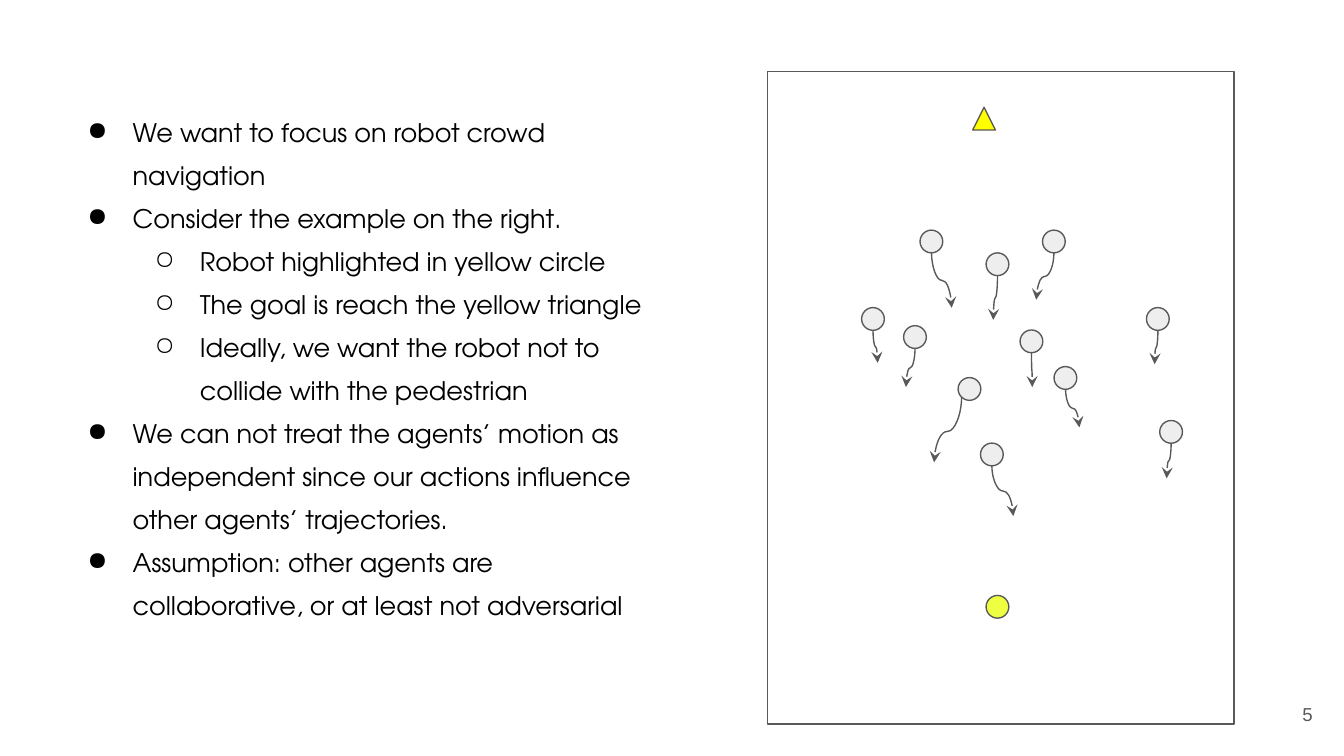
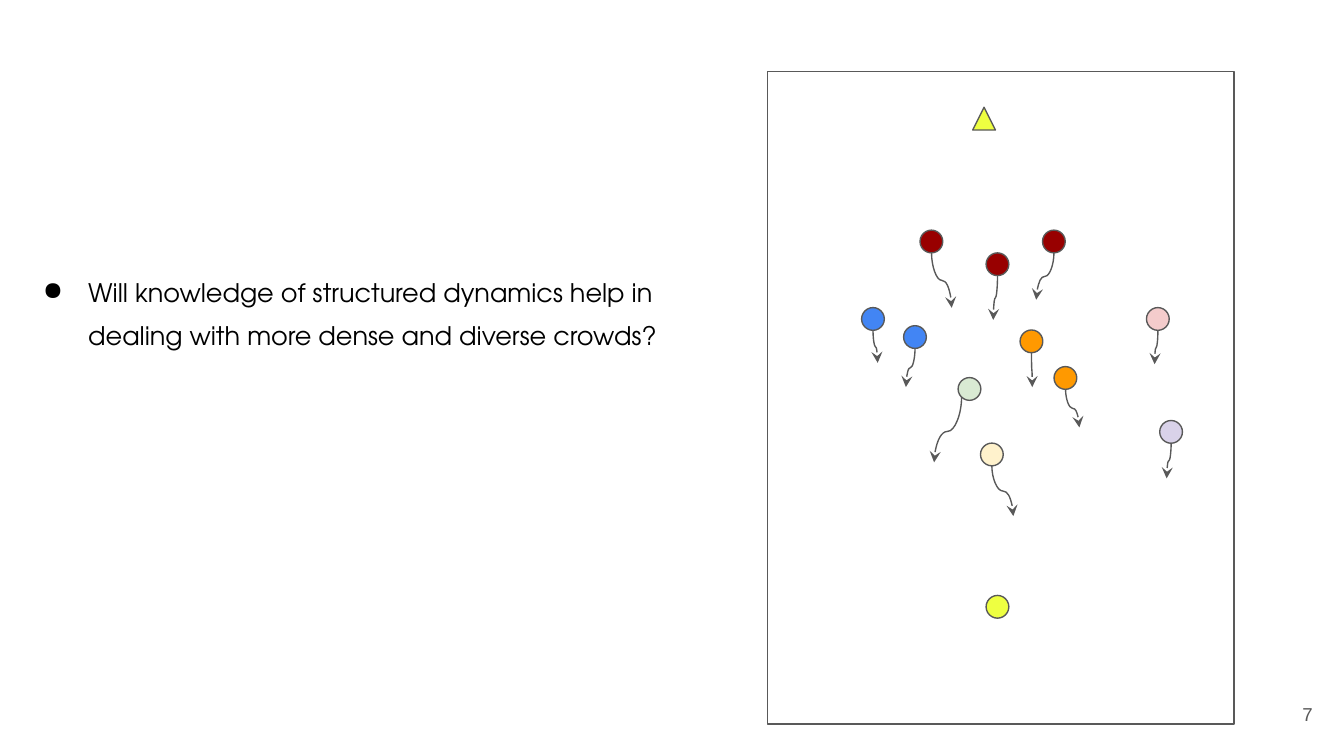
from dataclasses import dataclass
from lxml import etree
from pptx import Presentation
from pptx.dml.color import RGBColor
from pptx.enum.shapes import MSO_CONNECTOR as Connector, MSO_SHAPE as Preset
from pptx.enum.text import MSO_ANCHOR as Anchor, PP_ALIGN as Align
from pptx.oxml.ns import qn
from pptx.util import Pt


@dataclass(frozen=True)
class Theme:
    black: str = "000000"
    gray: str = "595959"
    lime: str = "EEFF41"
    yellow: str = "FFFF00"
    pedestrian: str = "EEEEEE"
    body_font: str = "TeX Gyre Adventor"
    number_font: str = "Arial"
    body_size: float = 13.7
    number_size: float = 10
    line_width: float = 0.75
    line_spacing: float = 1.4


theme = Theme()
marker_size = 12.2

walkers = [
    ("blue", (467.7, 170.9), (470.2, 194.4)),
    ("red", (499, 129.4), (509.8, 164.9)),
    ("blue", (490.2, 180.6), (485.3, 207.4)),
    ("red", (564.6, 129.4), (555.1, 160.6)),
    ("orange", (552.6, 182.9), (553, 207.4)),
    ("green", (519.4, 208.4), (500.4, 247.7)),
    ("cream", (531.4, 243.5), (542.9, 276.5)),
    ("purple", (627.4, 231.4), (625, 256.3)),
    ("pink", (620.3, 170.9), (618.5, 195.1)),
    ("orange", (570.8, 202.5), (578.2, 229)),
    ("red", (534.4, 141.6), (532.1, 171.4)),
]
group_colors = {
    "blue": "4285F4", "red": "980000", "orange": "FF9900", "green": "D9EAD3",
    "cream": "FFF2CC", "purple": "D9D2E9", "pink": "F4CCCC",
}
slides = [
    {
        "number": "5",
        "box": (28, 49, 332, 326),
        "goal": theme.yellow,
        "colors": dict.fromkeys(group_colors, theme.pedestrian),
        "bullets": [
            (0, "We want to focus on robot crowd navigation"),
            (0, "Consider the example on the right."),
            (1, "Robot highlighted in yellow circle"),
            (1, "The goal is reach the yellow triangle"),
            (1, "Ideally, we want the robot not to collide with the pedestrian"),
            (0, "We can not treat the agents’ motion as independent since our "
                "actions influence other agents’ trajectories."),
            (0, "Assumption: other agents are collaborative, or at least not adversarial"),
        ],
    },
    {
        "number": "7",
        "box": (4.2, 134.6, 355.8, 91.4),
        "goal": theme.lime,
        "colors": group_colors,
        "bullets": [
            (0, "Will knowledge of structured dynamics help in dealing with more "
                "dense and diverse crowds?"),
        ],
    },
]


def add_outlined(slide, preset, left, top, width, height, fill=None):
    shape = slide.shapes.add_shape(preset, Pt(left), Pt(top), Pt(width), Pt(height))
    shape.shadow.inherit = False
    if fill:
        shape.fill.solid()
        shape.fill.fore_color.rgb = RGBColor.from_string(fill)
    else:
        shape.fill.background()
    shape.line.color.rgb = RGBColor.from_string(theme.gray)
    shape.line.width = Pt(theme.line_width)


def add_text_frame(slide, left, top, width, height):
    box = slide.shapes.add_textbox(Pt(left), Pt(top), Pt(width), Pt(height))
    frame = box.text_frame
    frame.word_wrap = True
    frame.margin_left = frame.margin_right = Pt(7.2)
    frame.margin_top = frame.margin_bottom = Pt(7.2)
    return frame


presentation = Presentation()
presentation.slide_width = Pt(720)
presentation.slide_height = Pt(405)

for content in slides:
    slide = presentation.slides.add_slide(presentation.slide_layouts[6])
    add_outlined(slide, Preset.RECTANGLE, 411.3, 38.2, 249.8, 349.8)

    markers = [(Preset.OVAL, center, content["colors"][group]) for group, center, tip in walkers]
    markers.append((Preset.OVAL, (534.4, 325.1), theme.lime))
    markers.append((Preset.ISOSCELES_TRIANGLE, (527.2, 63.6), content["goal"]))
    for preset, (x, y), fill in markers:
        add_outlined(slide, preset, x - marker_size / 2, y - marker_size / 2,
                     marker_size, marker_size, fill)

    frame = add_text_frame(slide, *content["box"])
    for index, (level, text) in enumerate(content["bullets"]):
        paragraph = frame.paragraphs[0] if index == 0 else frame.add_paragraph()
        paragraph.text = text
        paragraph.level = level
        properties = paragraph._p.get_or_add_pPr()
        properties.set("marL", str(Pt(36 * (level + 1))))
        properties.set("indent", str(Pt(-24.3)))
        bullet_color = etree.SubElement(properties, qn("a:buClr"))
        etree.SubElement(bullet_color, qn("a:srgbClr"), val=theme.black)
        etree.SubElement(properties, qn("a:buChar"), char="●○"[level])
        paragraph.line_spacing = theme.line_spacing
        paragraph.font.name = theme.body_font
        paragraph.font.size = Pt(theme.body_size)
        paragraph.font.color.rgb = RGBColor.from_string(theme.black)

    for group, (x, y), (tip_x, tip_y) in walkers:
        start_x, start_y = x, y + marker_size / 2
        if group == "green":
            start_x, start_y = x - marker_size * 0.35, y + marker_size * 0.35
        middle_x, middle_y = (start_x + tip_x) / 2, (start_y + tip_y) / 2
        half_run = (tip_y - start_y) / 2
        half_rise = abs(tip_x - start_x) / 2
        side = 1 if tip_x > start_x else -1
        arrow = slide.shapes.add_connector(
            Connector.CURVE,
            Pt(middle_x + side * half_run), Pt(middle_y - half_rise),
            Pt(middle_x - side * half_run), Pt(middle_y + half_rise))
        arrow.line.color.rgb = RGBColor.from_string(theme.gray)
        arrow.line.width = Pt(theme.line_width)
        properties = arrow._element.spPr
        properties.find(qn("a:xfrm")).set("rot", "16200000" if side > 0 else "5400000")
        etree.SubElement(properties.find(qn("a:ln")), qn("a:tailEnd"), type="stealth")
        etree.SubElement(properties, qn("a:effectLst"))
        if group == "green":
            adjustments = properties.find(qn("a:prstGeom")).find(qn("a:avLst"))
            etree.SubElement(adjustments, qn("a:gd"), name="adj1", fmla="val 52600")

    frame = add_text_frame(slide, 667.1, 367.2, 43.2, 31)
    frame.vertical_anchor = Anchor.MIDDLE
    paragraph = frame.paragraphs[0]
    paragraph.text = content["number"]
    paragraph.alignment = Align.RIGHT
    paragraph.font.name = theme.number_font
    paragraph.font.size = Pt(theme.number_size)
    paragraph.font.color.rgb = RGBColor.from_string(theme.gray)

presentation.save("out.pptx")
